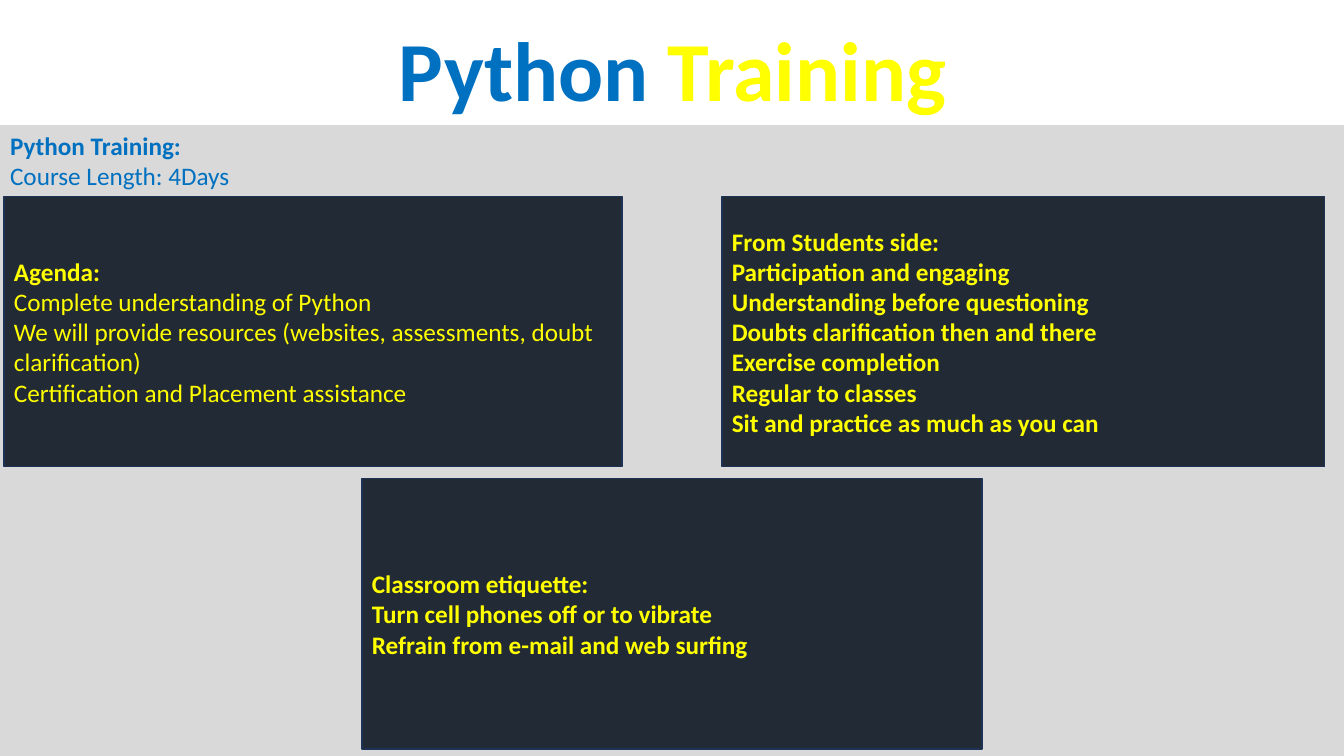
from pptx import Presentation
from pptx.dml.color import RGBColor
from pptx.enum.shapes import MSO_SHAPE
from pptx.enum.text import MSO_ANCHOR, MSO_AUTO_SIZE, PP_ALIGN
from pptx.util import Inches, Pt

RECT = MSO_SHAPE.RECTANGLE
TOP, MID, LOW = MSO_ANCHOR.TOP, MSO_ANCHOR.MIDDLE, MSO_ANCHOR.BOTTOM
LEFT, CENTER = PP_ALIGN.LEFT, PP_ALIGN.CENTER
FIXED = MSO_AUTO_SIZE.NONE

BLUE = RGBColor(0x00, 0x70, 0xC0)
YELLOW = RGBColor(0xFF, 0xFF, 0x00)
GREY = RGBColor(0xD9, 0xD9, 0xD9)
DARK = RGBColor(0x22, 0x2A, 0x35)
EDGE = RGBColor(0x1E, 0x32, 0x56)

WIDTH, HEIGHT = 13.33, 7.5
BAND = 1.24
CARD = 2.68

TITLE = [("Python ", BLUE), ("Training", YELLOW)]
INTRO = [("Python Training:", True), ("Course Length: 4Days", False)]
AGENDA = [
    ("Agenda:", True),
    ("Complete understanding of Python", False),
    ("We will provide resources (websites, assessments, doubt clarification)", False),
    ("Certification and Placement assistance", False),
]
STUDENTS = [
    ("From Students side:", True),
    ("Participation and engaging", True),
    ("Understanding before questioning", True),
    ("Doubts clarification then and there", True),
    ("Exercise completion", True),
    ("Regular to classes", True),
    ("Sit and practice as much as you can", True),
]
MANNERS = [
    ("Classroom etiquette:", True),
    ("Turn cell phones off or to vibrate", True),
    ("Refrain from e-mail and web surfing", True),
]
CARDS = [
    (0.04, 1.95, 6.13, AGENDA),
    (7.16, 1.95, 5.98, STUDENTS),
    (3.59, 4.75, 6.15, MANNERS),
]


def place(shape, left, top, width, height):
    shape.left, shape.top = Inches(left), Inches(top)
    shape.width, shape.height = Inches(width), Inches(height)


def add_run(para, text, size, color, bold):
    run = para.add_run()
    run.text = text
    font = run.font
    font.name, font.size, font.bold = "Calibri", Pt(size), bold
    font.color.rgb = color


def set_frame(shape, anchor):
    frame = shape.text_frame
    frame.word_wrap = True
    frame.auto_size = FIXED
    frame.vertical_anchor = anchor
    return frame


def write(shape, lines, color, anchor):
    frame = set_frame(shape, anchor)
    for i, (text, bold) in enumerate(lines):
        para = frame.add_paragraph() if i else frame.paragraphs[0]
        para.alignment = LEFT
        para.space_before = Pt(0)
        add_run(para, text, 18, color, bold)


def main():
    prs = Presentation()
    prs.slide_width, prs.slide_height = Inches(WIDTH), Inches(HEIGHT)
    slide = prs.slides.add_slide(prs.slide_layouts[0])

    title = slide.shapes.title
    place(title, 1.67, 0.07, 10, 1.17)
    para = set_frame(title, LOW).paragraphs[0]
    para.alignment = CENTER
    para.line_spacing = 0.9
    for text, color in TITLE:
        add_run(para, text, 60, color, True)

    panel = slide.placeholders[1]
    place(panel, 0, BAND, WIDTH, HEIGHT - BAND)
    panel.fill.solid()
    panel.fill.fore_color.rgb = GREY
    write(panel, INTRO, BLUE, TOP)

    for left, top, width, lines in CARDS:
        card = slide.shapes.add_shape(
            RECT, Inches(left), Inches(top), Inches(width), Inches(CARD))
        card.shadow.inherit = False
        card.fill.solid()
        card.fill.fore_color.rgb = DARK
        card.line.color.rgb = EDGE
        card.line.width = Pt(1)
        write(card, lines, YELLOW, MID)

    prs.save("out.pptx")


if __name__ == "__main__":
    main()
